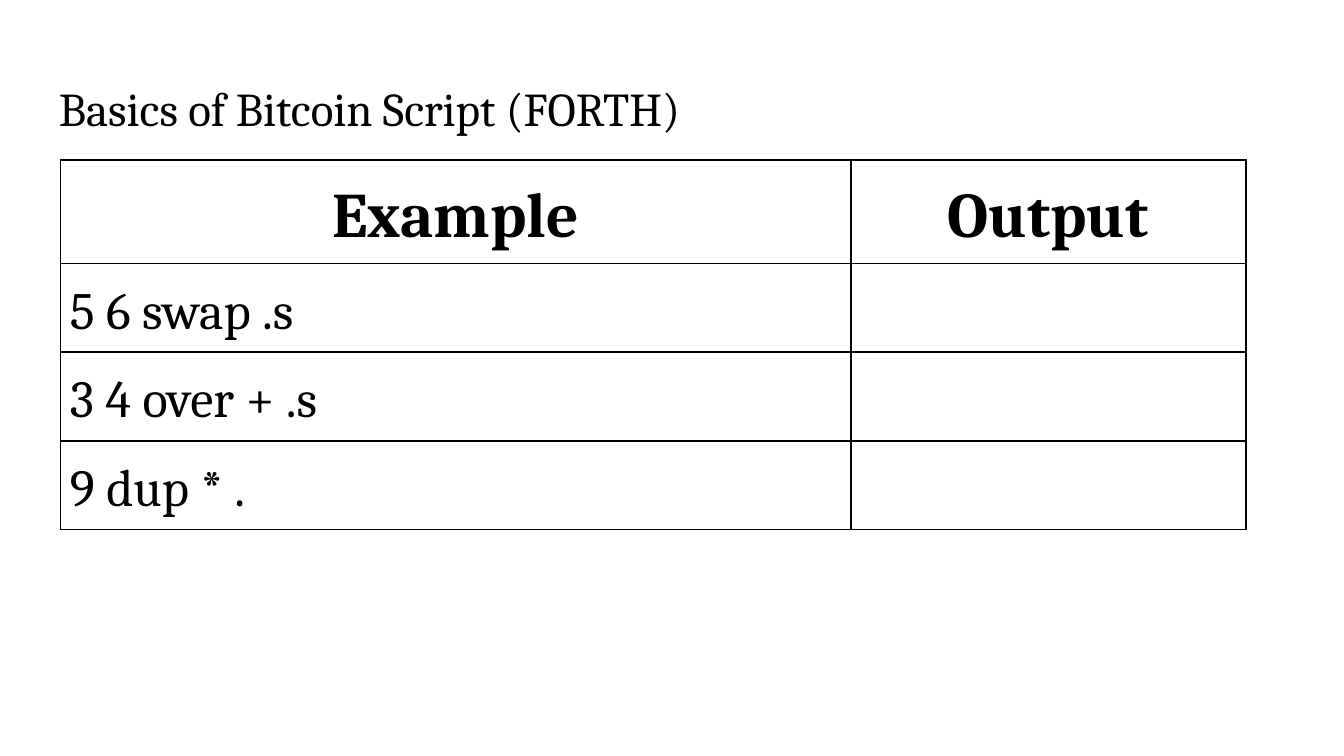
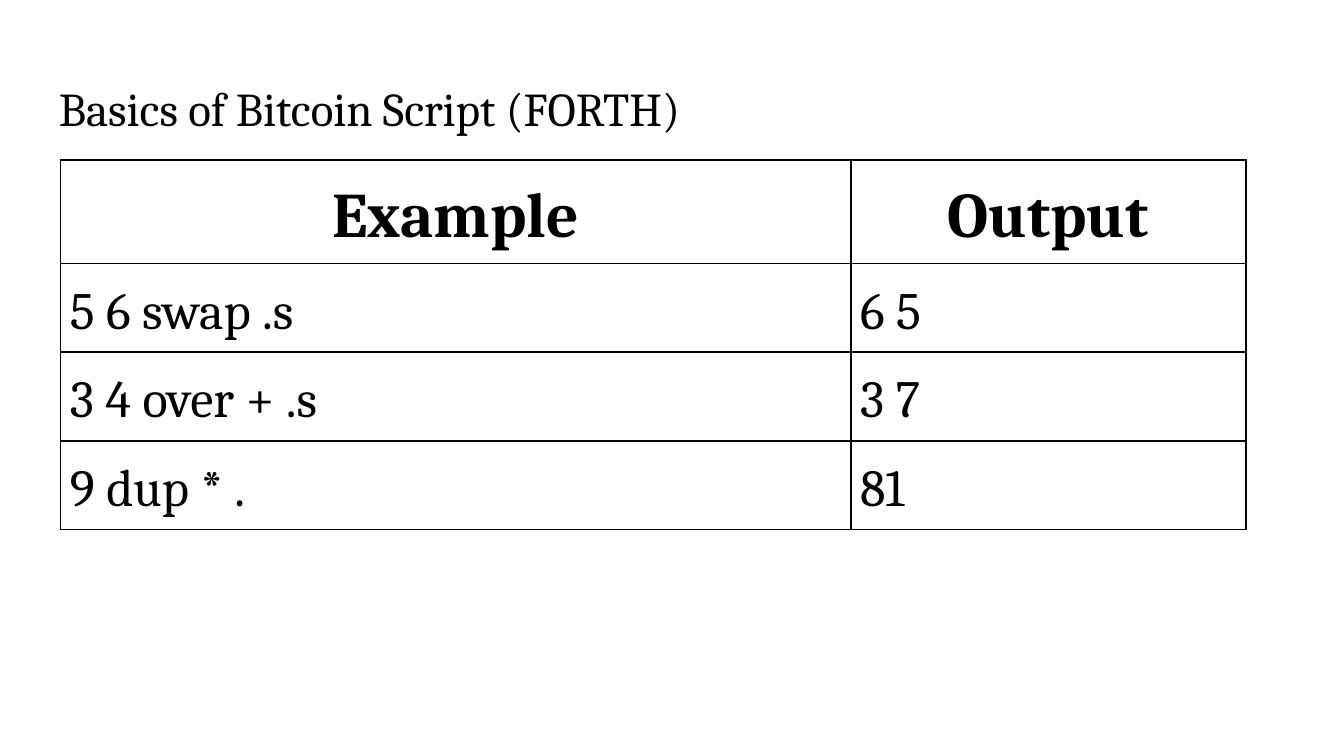
"""Build two slides on the basics of Bitcoin Script: exercise and answers."""
from lxml.etree import SubElement
from pptx import Presentation
from pptx.dml.color import RGBColor
from pptx.enum.text import MSO_ANCHOR, PP_ALIGN as Align
from pptx.oxml.ns import qn
from pptx.util import Inches, Pt

BLACK = RGBColor(0x00, 0x00, 0x00)
FONT = "Cambria"
TITLE = "Basics of Bitcoin Script (FORTH)"
HEADERS = ("Example", "Output")
EXAMPLES = ("5 6 swap .s", "3 4 over + .s", "9 dup * .")
OUTPUTS = ("6 5 ", "3 7", "81")
COLUMN_WIDTHS = (5.88, 2.94)
ROW_HEIGHT = 0.66
BORDER_WIDTH = Pt(1)


def set_margins(target, inches, bottom):
    target.margin_left = target.margin_right = target.margin_top = Inches(inches)
    target.margin_bottom = Inches(bottom)


def write_text(frame, text, size, bold=False, align=Align.LEFT, spacing=1.0):
    paragraph = frame.paragraphs[0]
    paragraph.alignment = align
    paragraph.line_spacing = spacing
    run = paragraph.add_run()
    run.text = text
    run.font.name = FONT
    run.font.size = Pt(size)
    run.font.bold = bold
    run.font.color.rgb = BLACK


def add_title(slide, text):
    box = slide.shapes.add_textbox(Inches(0.34), Inches(0.49), Inches(9.32), Inches(0.63))
    frame = box.text_frame
    frame.word_wrap = True
    frame.vertical_anchor = MSO_ANCHOR.TOP
    set_margins(frame, 0.1, bottom=0.1)
    write_text(frame, text, size=25.2)


def add_borders(cell):
    properties = cell._tc.get_or_add_tcPr()
    for side in ("a:lnL", "a:lnR", "a:lnT", "a:lnB"):
        line = SubElement(properties, qn(side), w=str(int(BORDER_WIDTH)))
        fill = SubElement(line, qn("a:solidFill"))
        SubElement(fill, qn("a:srgbClr"), val=str(BLACK))


def add_example_table(slide, outputs):
    rows = [HEADERS, *zip(EXAMPLES, outputs)]
    table = slide.shapes.add_table(
        len(rows), len(HEADERS), Inches(0.45), Inches(1.19),
        Inches(sum(COLUMN_WIDTHS)), Inches(ROW_HEIGHT * len(rows)),
    ).table
    table.first_row = table.horz_banding = False
    for column, width in zip(table.columns, COLUMN_WIDTHS):
        column.width = Inches(width)
    for row_index, texts in enumerate(rows):
        table.rows[row_index].height = Inches(ROW_HEIGHT)
        is_header = row_index == 0
        for column_index, text in enumerate(texts):
            cell = table.cell(row_index, column_index)
            set_margins(cell, 0.07, bottom=0.05)
            add_borders(cell)
            cell.fill.background()
            if text:
                write_text(
                    cell.text_frame, text, size=34 if is_header else 28, bold=is_header,
                    align=Align.CENTER if is_header else Align.JUSTIFY, spacing=1.15,
                )


def add_example_slide(presentation, outputs):
    slide = presentation.slides.add_slide(presentation.slide_layouts[6])
    add_title(slide, TITLE)
    add_example_table(slide, outputs)


def main():
    presentation = Presentation()
    presentation.slide_width = Inches(10)
    presentation.slide_height = Inches(10) * 9 // 16
    for outputs in ([""] * len(EXAMPLES), OUTPUTS):
        add_example_slide(presentation, outputs)
    presentation.save("out.pptx")


if __name__ == "__main__":
    main()
